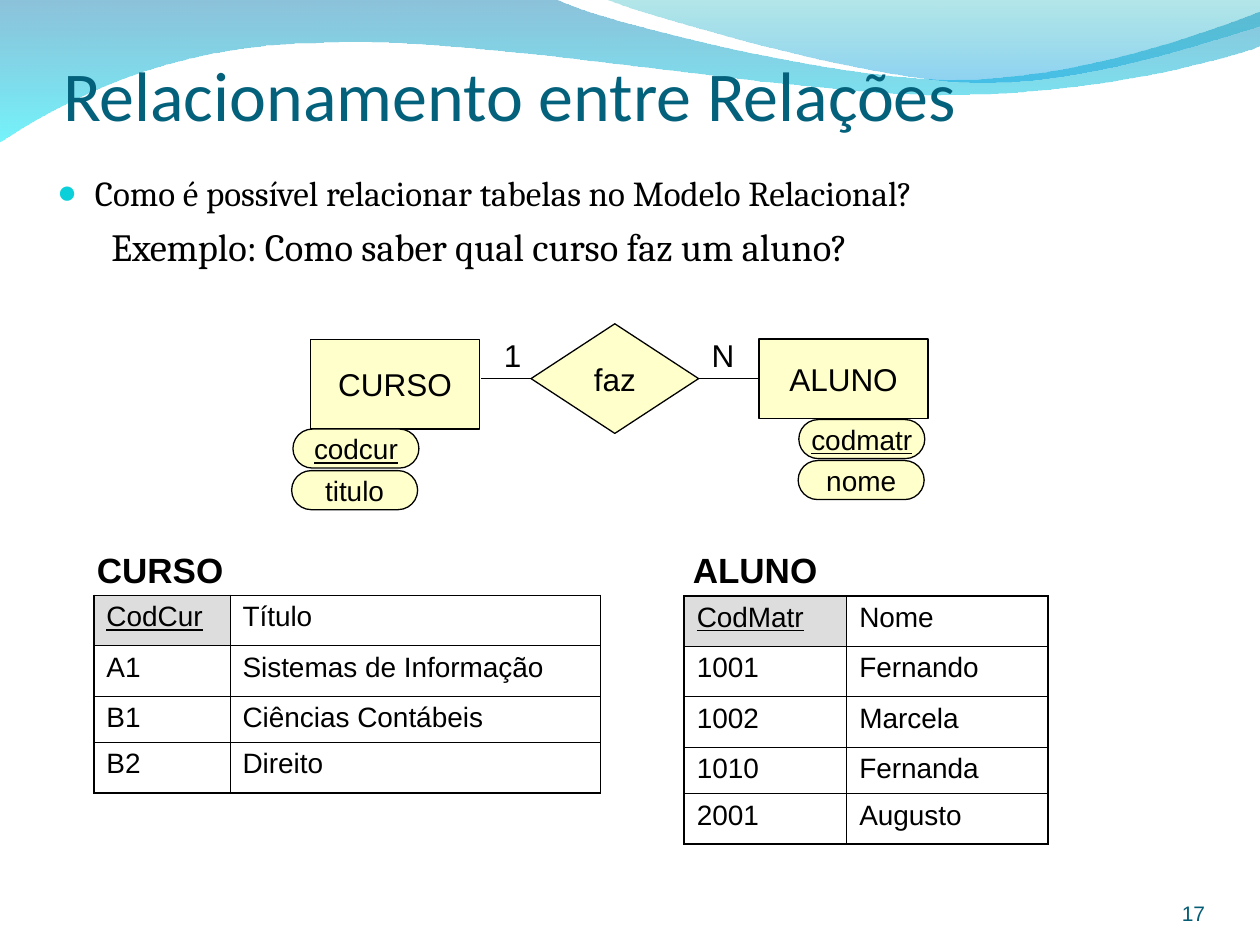
from dataclasses import dataclass

from lxml import etree
from pptx import Presentation
from pptx.dml.color import RGBColor
from pptx.enum.shapes import MSO_CONNECTOR, MSO_SHAPE
from pptx.enum.text import MSO_ANCHOR, MSO_AUTO_SIZE, PP_ALIGN
from pptx.oxml.ns import qn
from pptx.util import Inches, Pt

RECT, DIAMOND, PILL = MSO_SHAPE.RECTANGLE, MSO_SHAPE.DIAMOND, MSO_SHAPE.ROUNDED_RECTANGLE
LEFT, CENTER, RIGHT = PP_ALIGN.LEFT, PP_ALIGN.CENTER, PP_ALIGN.RIGHT
MIDDLE, BOTTOM = MSO_ANCHOR.MIDDLE, MSO_ANCHOR.BOTTOM
FIT_TEXT, NO_FIT = MSO_AUTO_SIZE.SHAPE_TO_FIT_TEXT, MSO_AUTO_SIZE.NONE
STRAIGHT = MSO_CONNECTOR.STRAIGHT
SIDE_LEFT, SIDE_RIGHT = 1, 3


@dataclass(frozen=True)
class Theme:
    ink: str = "000000"
    title: str = "04617B"
    number: str = "045C75"
    bullet: str = "0BD0D9"
    entity: str = "FFFFCC"
    key_cell: str = "DDDDDD"
    title_font: str = "Calibri"
    body_font: str = "Cambria"
    label_font: str = "Arial"
    title_size: float = 40
    question_size: float = 20
    example_size: float = 22
    heading_size: float = 20
    entity_size: float = 18
    detail_size: float = 16
    number_size: float = 12
    thin: float = 0.45
    line: float = 0.75
    outer: float = 1.08


theme = Theme()
prs = Presentation()
prs.slide_width, prs.slide_height = Inches(10), Inches(7.5)
COL, ROW = prs.slide_width / 100, prs.slide_height / 75
slide = prs.slides.add_slide(prs.slide_layouts[5])
shapes = slide.shapes


def grid(x, y, w, h):
    """Turn columns and rows into slide lengths."""
    return round(x * COL), round(y * ROW), round(w * COL), round(h * ROW)


def write(paragraph, text, size, font=theme.label_font, color=theme.ink,
          align=LEFT, bold=False, underline=False):
    paragraph.text = text
    paragraph.alignment = align
    style = paragraph.font
    style.name, style.size = font, Pt(size)
    style.bold, style.underline = bold, underline
    style.color.rgb = RGBColor.from_string(color)


# Waves behind the title: each step is one corner or a cubic curve of three points
waves = [
    ((0, -0.1),
     [[(44, -0.1)], [(47.6, 1.7), (66.4, 6.3), (75.8, 6.3)],
      [(85.3, 6.3), (95.8, 2.6), (100, 0.9)], [(100.1, 3.6)],
      [(98.3, 4.4), (87, 7.6), (74.6, 7.5)], [(62.2, 7.5), (38.2, 2.8), (25.7, 3.4)],
      [(12.9, 3.5), (4.6, 8.3), (-0.1, 11.3)]],
     [("0079AF", 45), ("00EBF8", 55)]),
    ((47.9, -0.1),
     [[(50.9, 1.1), (68.2, 6.2), (76.9, 6.5)],
      [(85.6, 6.9), (96.1, 3.2), (100, 2.1)], [(100, 0)]],
     [("00ADB6", 30), ("009BE5", 45)]),
]
for start, steps, stops in waves:
    builder = shapes.build_freeform(start[0] * COL, start[1] * ROW)
    builder.add_line_segments([(x * COL, y * ROW) for step in steps for x, y in step])
    wave = builder.convert_to_shape()
    # Merge the three points of each curve into one Bézier segment
    segments = iter(list(wave.element.iter(qn("a:lnTo"))))
    for step in steps:
        corners = [next(segments) for _ in step]
        if len(step) == 3:
            curve = etree.Element(qn("a:cubicBezTo"))
            corners[0].addprevious(curve)
            for corner in corners:
                curve.append(corner[0])
                corner.getparent().remove(corner)
    outline = next(wave.element.iter(qn("a:moveTo"))).getparent()
    etree.SubElement(outline, qn("a:close"))
    wave.shadow.inherit = False
    wave.line.fill.background()
    wave.fill.gradient()
    wave.fill.gradient_angle = 270
    for stop, position, (color, opacity) in zip(wave.fill.gradient_stops, (0, 1), stops):
        stop.position = position
        stop.color.rgb = RGBColor.from_string(color)
    for rgb, (color, opacity) in zip(wave.element.iter(qn("a:srgbClr")), stops):
        etree.SubElement(rgb, qn("a:alpha"), val=str(opacity * 1000))
    shapes.title.element.addprevious(wave.element)

title = shapes.title
title.left, title.top, title.width, title.height = grid(5, 3.05, 90, 7.7)
frame = title.text_frame
frame.margin_left = frame.margin_right = frame.margin_bottom = 0
frame.vertical_anchor, frame.auto_size = BOTTOM, NO_FIT
write(frame.paragraphs[0], "Relacionamento entre Relações", theme.title_size,
      theme.title_font, theme.title)

# Question and example
frame = shapes.add_textbox(*grid(3.55, 13.1, 92.1, 9.5)).text_frame
frame.word_wrap = True
question, example = frame.paragraphs[0], frame.add_paragraph()
for paragraph, margin, indent in ((question, 3, -3), (example, 7, -2.7)):
    props = paragraph._p.get_or_add_pPr()
    props.set("marL", str(round(margin * COL)))
    props.set("indent", str(round(indent * COL)))
props = question._p.get_or_add_pPr()
bullet_color = etree.SubElement(props, qn("a:buClr"))
etree.SubElement(bullet_color, qn("a:srgbClr"), val=theme.bullet)
etree.SubElement(props, qn("a:buSzPct"), val="95000")
etree.SubElement(props, qn("a:buFont"), typeface=theme.label_font)
etree.SubElement(props, qn("a:buChar"), char="●")
write(question, "Como é possível relacionar tabelas no Modelo Relacional?",
      theme.question_size, theme.body_font)
write(example, "Exemplo: Como saber qual curso faz um aluno?",
      theme.example_size, theme.body_font)
example.space_before = Pt(5.5)

# Relations: the first column is the key
relations = [
    (54.3, 47.3, (12.9, 16), (4, 4, 4, 3.7, 4),
     [("CodMatr", "Nome"), ("1001", "Fernando"), ("1002", "Marcela"),
      ("1010", "Fernanda"), ("2001", "Augusto")]),
    (7.45, 47.25, (10.8, 29.4), (4, 4, 3.65, 4),
     [("CodCur", "Título"), ("A1", "Sistemas de Informação"),
      ("B1", "Ciências Contábeis"), ("B2", "Direito")]),
]
for x, y, widths, heights, records in relations:
    table = shapes.add_table(len(records), len(widths),
                             *grid(x, y, sum(widths), sum(heights))).table
    table.first_row = table.horz_banding = False
    for column, width in zip(table.columns, widths):
        column.width = round(width * COL)
    for r, (record, height) in enumerate(zip(records, heights)):
        table.rows[r].height = round(height * ROW)
        for c, value in enumerate(record):
            cell = table.cell(r, c)
            is_key = r == c == 0
            write(cell.text_frame.paragraphs[0], value, theme.detail_size, underline=is_key)
            edges = {"L": c == 0, "R": c == len(widths) - 1,
                     "T": r == 0, "B": r == len(records) - 1}
            for edge, is_outer in edges.items():
                width = Pt(theme.outer if is_outer else theme.thin)
                border = etree.SubElement(cell._tc.get_or_add_tcPr(), qn("a:ln" + edge),
                                          w=str(width))
                solid = etree.SubElement(border, qn("a:solidFill"))
                etree.SubElement(solid, qn("a:srgbClr"), val=theme.ink)
            if is_key:
                cell.fill.solid()
                cell.fill.fore_color.rgb = RGBColor.from_string(theme.key_cell)
            else:
                cell.fill.background()

number = shapes.add_textbox(*grid(72.35, 69.8, 23.3, 3.7)).text_frame
number.margin_left = number.margin_right = number.margin_top = number.margin_bottom = 0
number.word_wrap, number.vertical_anchor = True, BOTTOM
write(number.paragraphs[0], "17", theme.number_size, color=theme.number, align=RIGHT)

# Entities, relationship and attributes
nodes = {}
for kind, text, area, size, is_key in [
    (RECT, "CURSO", (24.65, 26.95, 13.4, 7.1), theme.entity_size, False),
    (DIAMOND, "faz", (42.15, 25.7, 13.3, 8.7), theme.entity_size, False),
    (RECT, "ALUNO", (60.25, 26.9, 13.4, 6.3), theme.entity_size, False),
    (PILL, "codmatr", (63.4, 33.3, 10, 3.1), theme.detail_size, True),
    (PILL, "nome", (63.35, 36.55, 10, 3.1), theme.detail_size, False),
    (PILL, "codcur", (23.25, 34.05, 10, 3.1), theme.detail_size, True),
    (PILL, "titulo", (23.15, 37.35, 10, 3.1), theme.detail_size, False),
]:
    node = nodes[text] = shapes.add_shape(kind, *grid(*area))
    node.shadow.inherit = False
    if kind == PILL:
        node.adjustments[0] = 0.5
    node.fill.solid()
    node.fill.fore_color.rgb = RGBColor.from_string(theme.entity)
    node.line.color.rgb = RGBColor.from_string(theme.ink)
    node.line.width = Pt(theme.line)
    node.text_frame.word_wrap, node.text_frame.vertical_anchor = False, MIDDLE
    write(node.text_frame.paragraphs[0], text, size, align=CENTER, underline=is_key)

course_link = shapes.add_connector(STRAIGHT, *grid(38.2, 30.05, 42.15, 30.05))
course_link.end_connect(nodes["faz"], SIDE_LEFT)
student_link = shapes.add_connector(STRAIGHT, *grid(55.45, 30.05, 60.25, 30.05))
student_link.begin_connect(nodes["faz"], SIDE_RIGHT)
student_link.end_connect(nodes["ALUNO"], SIDE_LEFT)
for link in (course_link, student_link):
    link.line.color.rgb = RGBColor.from_string(theme.ink)
    link.line.width = Pt(theme.line)
    etree.SubElement(link.element.spPr, qn("a:effectLst"))

# Relation headings and cardinalities
for text, area, size, bold in [
    ("CURSO", (6.7, 43.05, 12.2, 4.4), theme.heading_size, True),
    ("ALUNO", (54, 43.05, 12, 4.4), theme.heading_size, True),
    ("1", (39, 26.2, 3.4, 4), theme.entity_size, False),
    ("N", (55.5, 26.2, 3.85, 4), theme.entity_size, False),
]:
    frame = shapes.add_textbox(*grid(*area)).text_frame
    frame.word_wrap, frame.auto_size = False, FIT_TEXT
    write(frame.paragraphs[0], text, size, bold=bold)

prs.save("out.pptx")
